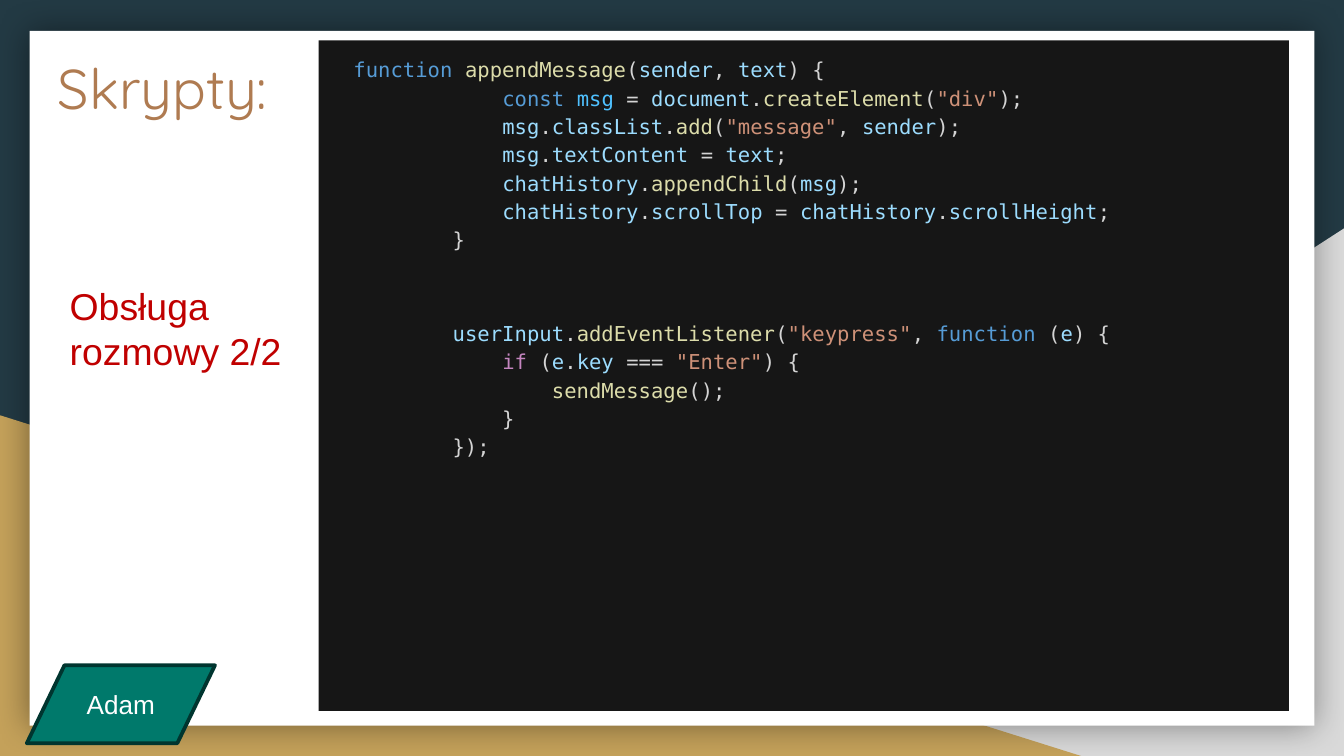
from dataclasses import dataclass
from typing import NamedTuple

from lxml import etree
from pptx import Presentation
from pptx.dml.color import RGBColor
from pptx.enum import shapes, text
from pptx.oxml import ns
from pptx.util import Inches, Pt

# Colours
NAVY = RGBColor(0x23, 0x3A, 0x44)
GREY = RGBColor(0xD9, 0xD9, 0xD9)
GOLD = RGBColor(0xC4, 0xA1, 0x5A)
WHITE = RGBColor(0xFF, 0xFF, 0xFF)
COPPER = RGBColor(0xAF, 0x7B, 0x51)
RED = RGBColor(0xC0, 0x00, 0x00)
TEAL = RGBColor(0x00, 0x79, 0x6B)
DARK_TEAL = RGBColor(0x00, 0x35, 0x2F)
EDITOR = RGBColor(0x16, 0x16, 0x16)

# Syntax colours of the code
KEYWORD = RGBColor(0x56, 0x9C, 0xD6)
CONTROL = RGBColor(0xC5, 0x86, 0xC0)
CALL = RGBColor(0xDC, 0xDC, 0xAA)
NAME = RGBColor(0x9C, 0xDC, 0xFE)
CONSTANT = RGBColor(0x4F, 0xC1, 0xFF)
STRING = RGBColor(0xCE, 0x91, 0x78)
PLAIN = RGBColor(0xD4, 0xD4, 0xD4)


class Area(NamedTuple):
    left: float
    top: float
    width: float
    height: float


class Token(NamedTuple):
    text: str
    color: RGBColor = PLAIN


@dataclass
class CodeLine:
    indent: int
    tokens: list[Token]
    space_before: float = 0


@dataclass
class Panel:
    kind: shapes.MSO_SHAPE
    area: Area
    fill: RGBColor
    flipped: bool = False
    shadowed: bool = False


PANELS = [
    Panel(shapes.MSO_SHAPE.RIGHT_TRIANGLE, Area(3.92, 1.7, 6.08, 3.93), GREY, flipped=True),
    Panel(shapes.MSO_SHAPE.RIGHT_TRIANGLE, Area(0, 3.09, 8.06, 2.54), GOLD),
    Panel(shapes.MSO_SHAPE.RECTANGLE, Area(0.22, 0.23, 9.56, 5.17), WHITE, shadowed=True),
]

DOT = Token(".")
COMMA = Token(", ")
OPEN = Token("(")
CLOSE = Token(");")
EQUALS = Token(" = ")
END = Token(";")
BLOCK = Token(") {")
MSG = Token("msg", NAME)
SENDER = Token("sender", NAME)
TEXT = Token("text", NAME)
HISTORY = Token("chatHistory", NAME)
EVENT = Token("e", NAME)

CODE = [
    CodeLine(0, [Token("function ", KEYWORD), Token("appendMessage", CALL), OPEN,
                 SENDER, COMMA, TEXT, BLOCK]),
    CodeLine(12, [Token("const ", KEYWORD), Token("msg", CONSTANT), EQUALS,
                  Token("document", NAME), DOT, Token("createElement", CALL), OPEN,
                  Token('"div"', STRING), CLOSE]),
    CodeLine(12, [MSG, DOT, Token("classList", NAME), DOT, Token("add", CALL), OPEN,
                  Token('"message"', STRING), COMMA, SENDER, CLOSE]),
    CodeLine(12, [MSG, DOT, Token("textContent", NAME), EQUALS, TEXT, END]),
    CodeLine(12, [HISTORY, DOT, Token("appendChild", CALL), OPEN, MSG, CLOSE]),
    CodeLine(12, [HISTORY, DOT, Token("scrollTop", NAME), EQUALS,
                  HISTORY, DOT, Token("scrollHeight", NAME), END]),
    CodeLine(8, [Token("}")]),
    CodeLine(8, [Token("userInput", NAME), DOT, Token("addEventListener", CALL), OPEN,
                 Token('"keypress"', STRING), COMMA, Token("function", KEYWORD),
                 Token(" ("), EVENT, BLOCK], space_before=35),
    CodeLine(12, [Token("if", CONTROL), Token(" ("), EVENT, DOT, Token("key", NAME),
                  Token(" === "), Token('"Enter"', STRING), BLOCK]),
    CodeLine(16, [Token("sendMessage", CALL), Token("();")]),
    CodeLine(12, [Token("}")]),
    CodeLine(8, [Token("});")]),
]


def place(shape, area: Area) -> None:
    shape.left, shape.top, shape.width, shape.height = map(Inches, area)


def add_span(para, words: str, size: float, font: str, color: RGBColor) -> None:
    span = para.add_run()
    span.text = words
    span.font.size = Pt(size)
    span.font.name = font
    span.font.color.rgb = color


def set_frame(shape, anchor: text.MSO_ANCHOR, inset: float):
    frame = shape.text_frame
    frame.word_wrap = True
    frame.auto_size = text.MSO_AUTO_SIZE.NONE
    frame.vertical_anchor = anchor
    frame.margin_left = frame.margin_right = Inches(0.1)
    frame.margin_top = frame.margin_bottom = Inches(inset)
    return frame


def add_filled(page, kind: shapes.MSO_SHAPE, area: Area, fill: RGBColor):
    shape = page.shapes.add_shape(kind, *map(Inches, area))
    shape.shadow.inherit = False
    shape.fill.solid()
    shape.fill.fore_color.rgb = fill
    shape.line.fill.background()
    return shape


def add_panel(page, panel: Panel) -> None:
    shape = add_filled(page, panel.kind, panel.area, panel.fill)
    properties = shape._element.spPr
    if panel.flipped:
        properties.find(ns.qn("a:xfrm")).set("flipH", "1")
    if panel.shadowed:
        effects = properties.find(ns.qn("a:effectLst"))
        shadow = etree.SubElement(effects, ns.qn("a:outerShdw"),
                                  blurRad=str(Pt(18)), dist="0", dir="0",
                                  algn="ctr", rotWithShape="0")
        color = etree.SubElement(shadow, ns.qn("a:srgbClr"), val="000000")
        etree.SubElement(color, ns.qn("a:alpha"), val="40000")


def write_code_line(para, line: CodeLine) -> None:
    properties = para._p.get_or_add_pPr()
    properties.set("marL", str(Inches(0.5)))
    properties.set("indent", str(Inches(-0.34)))
    etree.SubElement(properties, ns.qn("a:buNone"))
    para.alignment = text.PP_ALIGN.LEFT
    para.line_spacing = 1.15
    para.space_before = Pt(line.space_before)
    para.space_after = Pt(0)
    indent = [Token(" " * line.indent)] if line.indent else []
    for token in indent + line.tokens:
        add_span(para, token.text, 11, "DejaVu Sans Mono", token.color)


def main() -> None:
    deck = Presentation()
    deck.slide_width = Inches(10)
    deck.slide_height = Inches(10 * 9 / 16)
    page = deck.slides.add_slide(deck.slide_layouts[1])
    page.background.fill.solid()
    page.background.fill.fore_color.rgb = NAVY
    title, body = page.placeholders

    # Backdrop, with the placeholders brought in front of it
    for panel in PANELS:
        add_panel(page, panel)
    for holder in (title, body):
        page.shapes._spTree.append(holder._element)

    # Title
    place(title, Area(0.33, 0.3, 1.92, 1.04))
    para = set_frame(title, text.MSO_ANCHOR.TOP, 0.1).paragraphs[0]
    para.alignment = text.PP_ALIGN.LEFT
    add_span(para, "Skrypty:", 30, "Quicksand", COPPER)

    # Code
    place(body, Area(2.37, 0.3, 7.22, 4.99))
    body.fill.solid()
    body.fill.fore_color.rgb = EDITOR
    frame = set_frame(body, text.MSO_ANCHOR.TOP, 0.1)
    for number, line in enumerate(CODE):
        para = frame.add_paragraph() if number else frame.paragraphs[0]
        write_code_line(para, line)

    # Topic
    topic = page.shapes.add_textbox(*map(Inches, Area(0.42, 2.06, 1.82, 0.77)))
    para = set_frame(topic, text.MSO_ANCHOR.TOP, 0.05).paragraphs[0]
    add_span(para, "Obsługa rozmowy 2/2", 20, "Arial", RED)

    # Speaker tag
    tag = add_filled(page, shapes.MSO_SHAPE.FLOWCHART_DATA, Area(0.2, 4.95, 1.4, 0.58), TEAL)
    tag.line.color.rgb = DARK_TEAL
    tag.line.width = Pt(2)
    para = set_frame(tag, text.MSO_ANCHOR.MIDDLE, 0.05).paragraphs[0]
    para.alignment = text.PP_ALIGN.CENTER
    add_span(para, "Adam", 14, "Arial", WHITE)

    deck.save("out.pptx")


if __name__ == "__main__":
    main()
